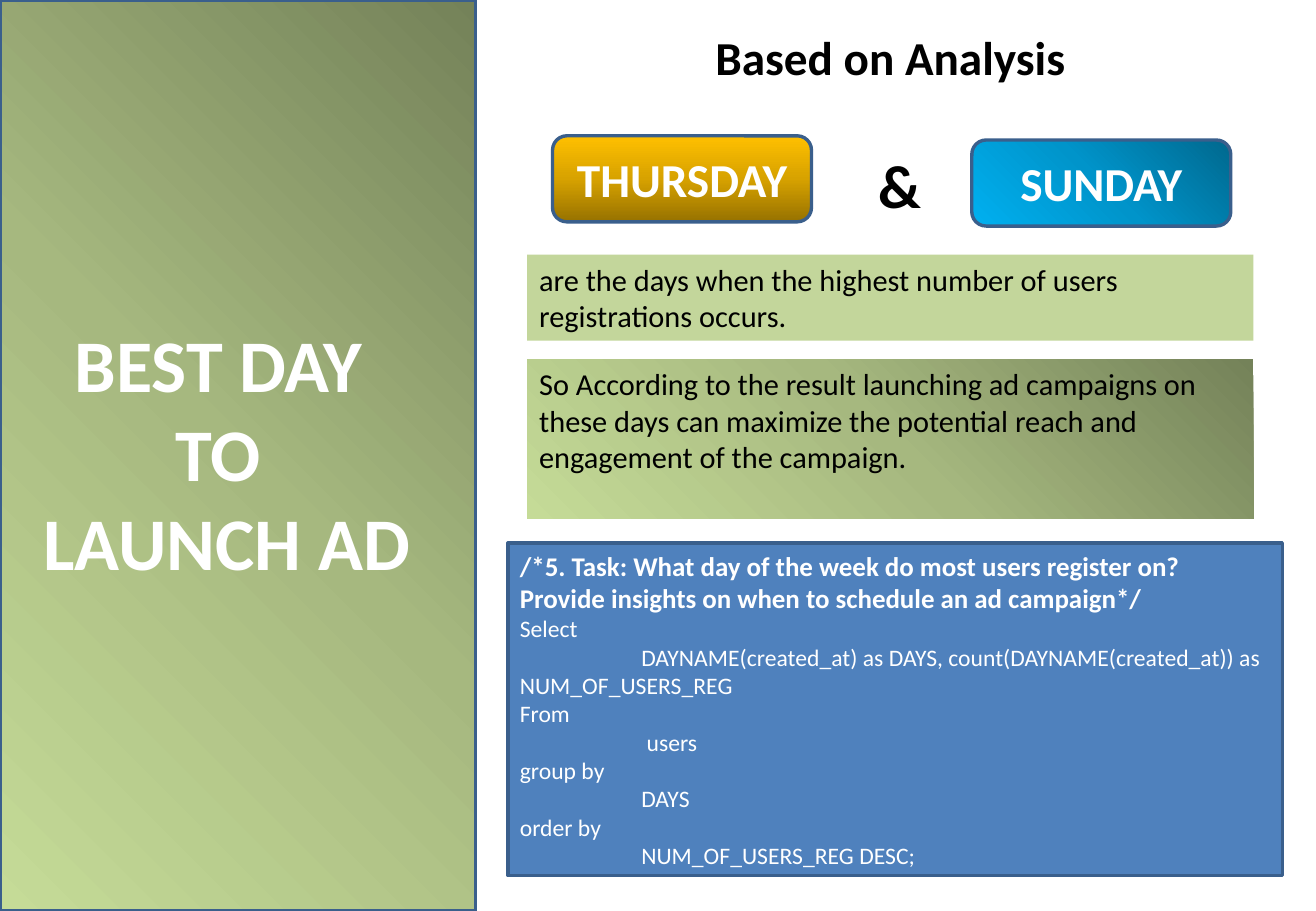
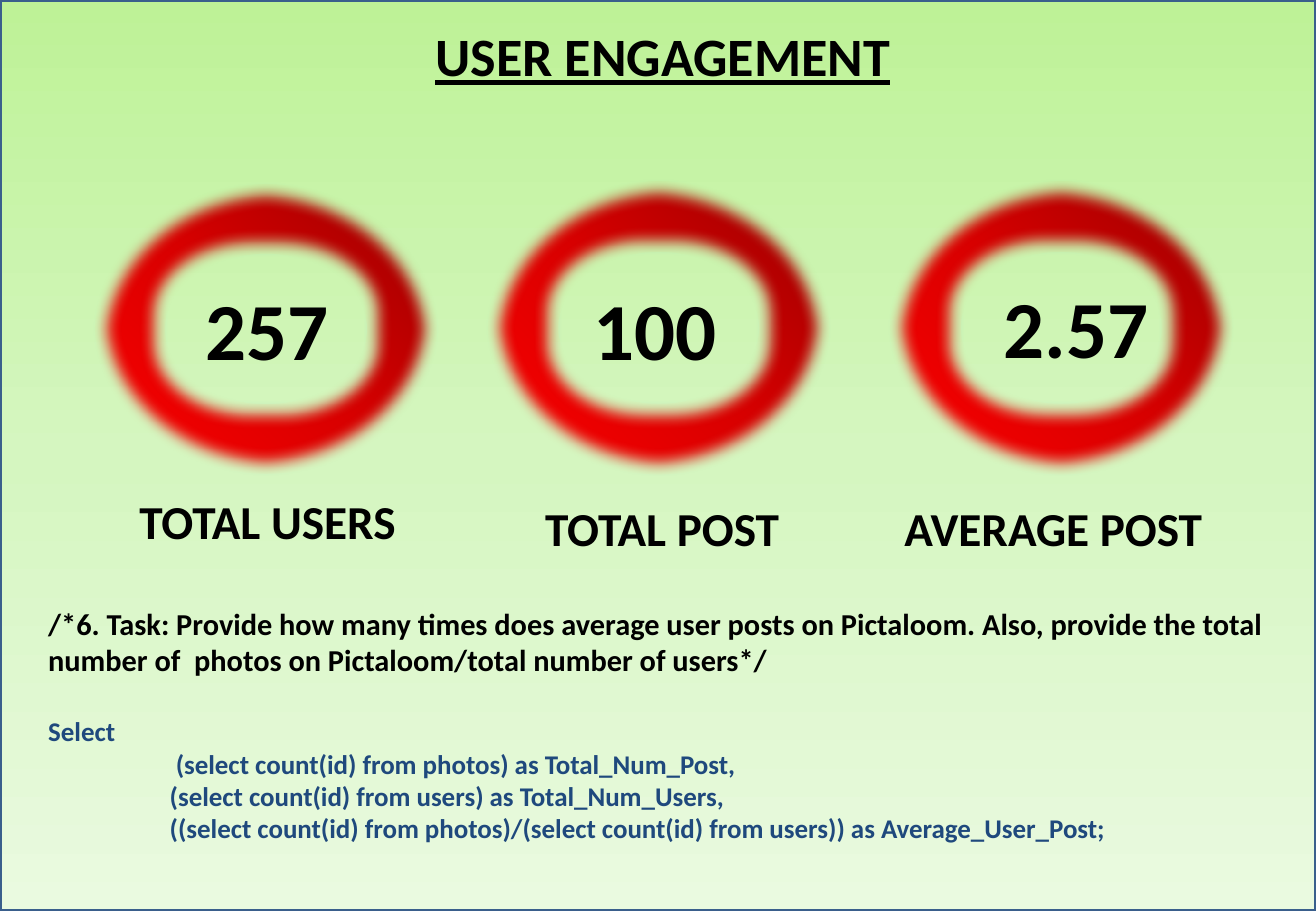
from copy import deepcopy

from lxml.etree import SubElement
from pptx import Presentation
from pptx.dml.color import RGBColor
from pptx.enum.shapes import MSO_SHAPE as SHAPE
from pptx.enum.text import MSO_ANCHOR as ANCHOR, PP_ALIGN as ALIGN
from pptx.oxml.ns import qn
from pptx.util import Pt

FONT = "Calibri"
BLACK, WHITE, NAVY = "000000", "FFFFFF", "1F497D"
EDGE, BLUE, PALE = "3A5F8C", "4F81BD", "C3D69B"
# Gradients: three colours, then the clockwise angle
OLIVE = ("748259", "A6B87F", "C5DB97", 135)
GOLD = ("977200", "D7A200", "FFC000", 270)
SKY = ("00688E", "0094CA", "00B0F0", 135)
RED = ("970000", "D70000", "FF0000", 135)
LIME = ("BEF297", "D5F6C0", "EAFAE0", 90)
TAB = 72


def rgb(code):
    return RGBColor.from_string(code)


def paint(shape, fill):
    """Fill with one colour, or with a gradient given as a tuple."""
    if isinstance(fill, str):
        shape.fill.solid()
        shape.fill.fore_color.rgb = rgb(fill)
        return
    *hues, angle = fill
    shape.fill.gradient()
    stops = shape._element.spPr.find(qn("a:gradFill")).find(qn("a:gsLst"))
    stops.append(deepcopy(stops[-1]))
    for stop, hue, place in zip(shape.fill.gradient_stops, hues, (0, 0.5, 1)):
        stop.color.rgb = rgb(hue)
        stop.position = place
    shape.fill.gradient_angle = 360 - angle


def add_block(slide, kind, box, fill, edge=None):
    shape = slide.shapes.add_shape(kind, *map(Pt, box))
    paint(shape, fill)
    shape.shadow.inherit = False
    if edge:
        shape.line.color.rgb = rgb(edge)
        shape.line.width = Pt(2)
    else:
        shape.line.fill.background()
    return shape


def write(shape, lines, size, color=BLACK, bold=False, align=ALIGN.LEFT,
          anchor=ANCHOR.TOP):
    """Each line is a text, or a text with its own format values."""
    frame = shape.text_frame
    frame.word_wrap = True
    frame.vertical_anchor = anchor
    for i, line in enumerate(lines):
        text, own = (line, {}) if isinstance(line, str) else line
        look = {"size": size, "color": color, "bold": bold, **own}
        para = frame.add_paragraph() if i else frame.paragraphs[0]
        para.alignment = align
        para.space_before = Pt(look.pop("gap", 0))
        indent = look.pop("indent", 0)
        if indent:
            para._p.get_or_add_pPr().set("indent", str(Pt(indent)))
        run = para.add_run()
        run.text = text
        font = run.font
        font.name = FONT
        font.color.rgb = rgb(look.pop("color"))
        look["size"] = Pt(look["size"])
        for name, value in look.items():
            setattr(font, name, value)


def add_text(slide, box, lines, size, **look):
    write(slide.shapes.add_textbox(*map(Pt, box)), lines, size, **look)


def add_ring(slide, box):
    ring = add_block(slide, SHAPE.DONUT, box, RED, BLUE)
    effects = ring._element.spPr.find(qn("a:effectLst"))
    SubElement(effects, qn("a:softEdge")).set("rad", str(Pt(8.86)))


def draw_days(slide):
    add_block(slide, SHAPE.RECTANGLE, (0, 0, 282, 540), OLIVE, EDGE)
    add_text(slide, (-2, 185, 273, 167), ["BEST DAY ", "TO ", "LAUNCH AD"], 44,
             color=WHITE, bold=True, align=ALIGN.CENTER)
    add_text(slide, (417, 13, 227, 41), ["Based on Analysis"], 28, bold=True)

    for day, left, top, fill in (("THURSDAY", 327.5, 80.5, GOLD),
                                 ("SUNDAY", 576, 83, SKY)):
        pill = add_block(slide, SHAPE.ROUNDED_RECTANGLE, (left, top, 153.5, 51),
                         fill, EDGE)
        write(pill, [day], 28, color=WHITE, bold=True, align=ALIGN.CENTER,
              anchor=ANCHOR.MIDDLE)
    add_text(slide, (513.5, 84, 34, 51), ["&"], 36, bold=True)

    for top, high, fill, text in (
        (151, 51, PALE, "are the days when the highest number of users "
                        "registrations occurs."),
        (213, 94.5, OLIVE, "So According to the result launching ad campaigns "
                           "on these days can maximize the potential reach and "
                           "engagement of the campaign."),
    ):
        note = add_block(slide, SHAPE.RECTANGLE, (312.5, top, 430.5, high), fill)
        write(note, [text], 18)

    query = add_block(slide, SHAPE.RECTANGLE, (301, 322, 459, 197), BLUE, EDGE)
    inner = {"indent": TAB}
    write(query, [
        ("/*5. Task: What day of the week do most users register on? Provide "
         "insights on when to schedule an ad campaign*/",
         {"size": 16, "bold": True}),
        "Select",
        ("DAYNAME(created_at) as DAYS, count(DAYNAME(created_at)) as "
         "NUM_OF_USERS_REG", inner),
        "From",
        (" users", inner),
        "group by",
        ("DAYS", inner),
        "order by",
        ("NUM_OF_USERS_REG DESC;", inner),
    ], 14, color=WHITE, anchor=ANCHOR.MIDDLE)


def draw_usage(slide):
    add_block(slide, SHAPE.RECTANGLE, (0, 0, 780, 540), LIME, EDGE)
    add_text(slide, (251, 10, 354, 46),
             [("USER ENGAGEMENT", {"underline": True})], 32, bold=True)

    for ring, value, spot, label, place in (
        ((55.5, 108, 204, 173.5), "257", (114.5, 162, 91, 65.5),
         "TOTAL USERS", (75.5, 288.5, 176, 41)),
        ((288, 106.5, 204, 175), "100", (345, 162, 91, 65.5),
         "TOTAL POST", (316, 292.5, 163.5, 41)),
        ((526.5, 106.5, 204, 175), "2.57", (588, 161, 108, 65.5),
         "AVERAGE POST", (529, 292.5, 201.5, 41)),
    ):
        add_ring(slide, ring)
        add_text(slide, spot, [value], 48, bold=True)
        add_text(slide, place, [label], 28, bold=True)

    inner = {"indent": TAB}
    add_text(slide, (21.5, 355, 737.5, 172), [
        ("/*6. Task: Provide how many times does average user posts on "
         "Pictaloom. Also, provide the total number of  photos on "
         "Pictaloom/total number of users*/", {"size": 18, "color": BLACK}),
        ("Select", {"gap": 22}),
        (" (select count(id) from photos) as Total_Num_Post,", inner),
        ("(select count(id) from users) as Total_Num_Users,", inner),
        ("((select count(id) from photos)/(select count(id) from users)) "
         "as Average_User_Post;", inner),
    ], 16, color=NAVY, bold=True)


def main():
    deck = Presentation()
    deck.slide_width, deck.slide_height = Pt(780), Pt(540)
    for draw in (draw_days, draw_usage):
        draw(deck.slides.add_slide(deck.slide_layouts[6]))
    deck.save("out.pptx")


if __name__ == "__main__":
    main()
